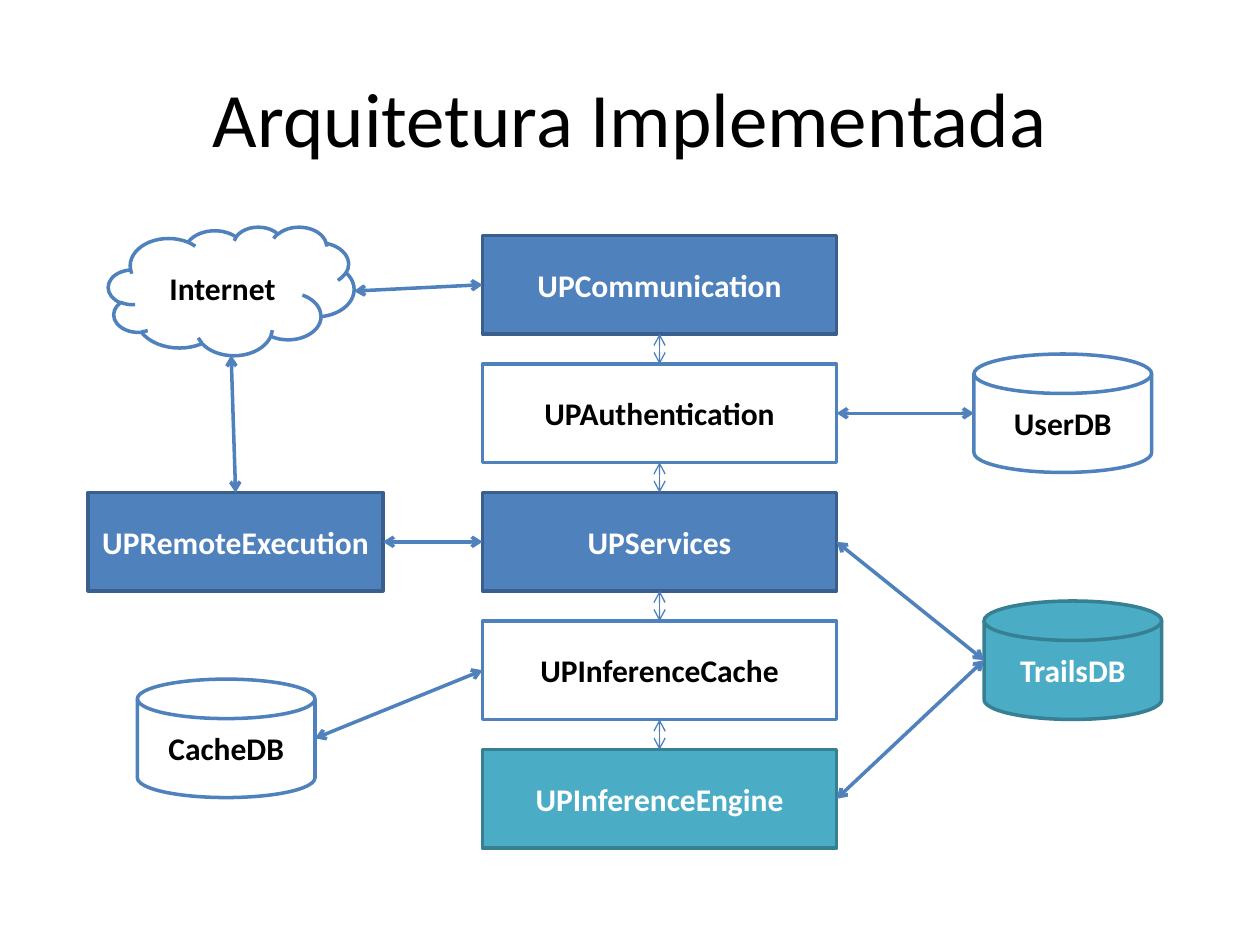
from dataclasses import dataclass
from itertools import pairwise

from lxml.etree import SubElement
from pptx import Presentation
from pptx.dml.color import RGBColor
from pptx.enum.shapes import MSO_CONNECTOR, MSO_SHAPE
from pptx.enum.text import MSO_ANCHOR, PP_ALIGN
from pptx.oxml.ns import qn
from pptx.util import Inches, Pt


@dataclass(frozen=True)
class Theme:
    """Colours, font and sizes of the diagram."""
    font: str = "Calibri"
    title_size: float = 44
    label_size: float = 18
    outline: float = 2
    thin: float = 0.75
    black: str = "000000"
    link: str = "4F81BD"
    thin_link: str = "4B7EBC"
    blue: tuple = ("4F81BD", "3A5F8C", "FFFFFF")
    white: tuple = ("FFFFFF", "4F81BD", "000000")
    teal: tuple = ("4BACC6", "377F92", "FFFFFF")


THEME = Theme()
MODULE_SIZE = (2.81, 0.78)
DATABASE_SIZE = (1.41, 0.94)


def rgb(code):
    """Turn a hex code into a colour."""
    return RGBColor.from_string(code)


def write(frame, text, *, size, color, bold=False, margin=0.1):
    """Write centred text into a text frame."""
    frame.word_wrap = True
    frame.vertical_anchor = MSO_ANCHOR.MIDDLE
    frame.margin_left = frame.margin_right = Inches(margin)
    paragraph = frame.paragraphs[0]
    paragraph.alignment = PP_ALIGN.CENTER
    run = paragraph.add_run()
    run.text = text
    run.font.name = THEME.font
    run.font.size = Pt(size)
    run.font.bold = bold
    run.font.color.rgb = rgb(color)


def add_title(slide, text):
    """Add the slide title."""
    title = slide.shapes.add_textbox(Inches(0.5), Inches(0.3), Inches(9), Inches(1.25))
    write(title.text_frame, text, size=THEME.title_size, color=THEME.black)


def add_node(slide, preset, label, position, size, style):
    """Add a labelled component of the architecture."""
    fill, outline, text_color = style
    node = slide.shapes.add_shape(preset, *map(Inches, position + size))
    node.shadow.inherit = False
    node.fill.solid()
    node.fill.fore_color.rgb = rgb(fill)
    node.line.color.rgb = rgb(outline)
    node.line.width = Pt(THEME.outline)
    write(node.text_frame, label, size=THEME.label_size, color=text_color,
          bold=True, margin=0.05)
    return node


def side(node, name):
    """Return the middle point of one side of a node."""
    across, down = {"left": (0, 0.5), "right": (1, 0.5),
                    "top": (0.5, 0), "bottom": (0.5, 1)}[name]
    return int(node.left + across * node.width), int(node.top + down * node.height)


def add_link(slide, start, end, color=THEME.link, width=THEME.outline):
    """Join two (node, side) ends with a double-headed arrow."""
    link = slide.shapes.add_connector(MSO_CONNECTOR.STRAIGHT, *side(*start), *side(*end))
    link.line.color.rgb = rgb(color)
    link.line.width = Pt(width)
    outline = link.line._get_or_add_ln()
    for tag in ("a:headEnd", "a:tailEnd"):
        SubElement(outline, qn(tag), type="arrow")
    SubElement(link._element.spPr, qn("a:effectLst"))


def main():
    """Build the architecture slide."""
    deck = Presentation()
    deck.slide_width, deck.slide_height = Inches(10), Inches(7.5)
    slide = deck.slides.add_slide(deck.slide_layouts[6])
    add_title(slide, "Arquitetura Implementada")

    layers = [("UPCommunication", THEME.blue), ("UPAuthentication", THEME.white),
              ("UPServices", THEME.blue), ("UPInferenceCache", THEME.white),
              ("UPInferenceEngine", THEME.teal)]
    modules = [
        add_node(slide, MSO_SHAPE.RECTANGLE, label, (3.83, 1.87 + 1.02 * row),
                 MODULE_SIZE, style)
        for row, (label, style) in enumerate(layers)
    ]
    communication, authentication, services, cache, engine = modules

    internet = add_node(slide, MSO_SHAPE.CLOUD, "Internet", (0.86, 1.8),
                        (1.95, 1.02), THEME.white)
    cache_db, trails_db, user_db = [
        add_node(slide, MSO_SHAPE.FLOWCHART_MAGNETIC_DISK, label, position,
                 DATABASE_SIZE, style)
        for label, position, style in [("CacheDB", (1.09, 5.39), THEME.white),
                                       ("TrailsDB", (7.81, 4.77), THEME.teal),
                                       ("UserDB", (7.73, 2.81), THEME.white)]
    ]
    remote = add_node(slide, MSO_SHAPE.RECTANGLE, "UPRemoteExecution", (0.7, 3.91),
                      (2.34, 0.78), THEME.blue)

    for start, end in [
        ((internet, "right"), (communication, "left")),
        ((remote, "top"), (internet, "bottom")),
        ((remote, "right"), (services, "left")),
        ((cache_db, "right"), (cache, "left")),
        ((authentication, "right"), (user_db, "left")),
        ((services, "right"), (trails_db, "left")),
        ((trails_db, "left"), (engine, "right")),
    ]:
        add_link(slide, start, end)
    for upper, lower in pairwise(modules):
        add_link(slide, (upper, "bottom"), (lower, "top"), THEME.thin_link, THEME.thin)

    deck.save("out.pptx")


if __name__ == "__main__":
    main()
